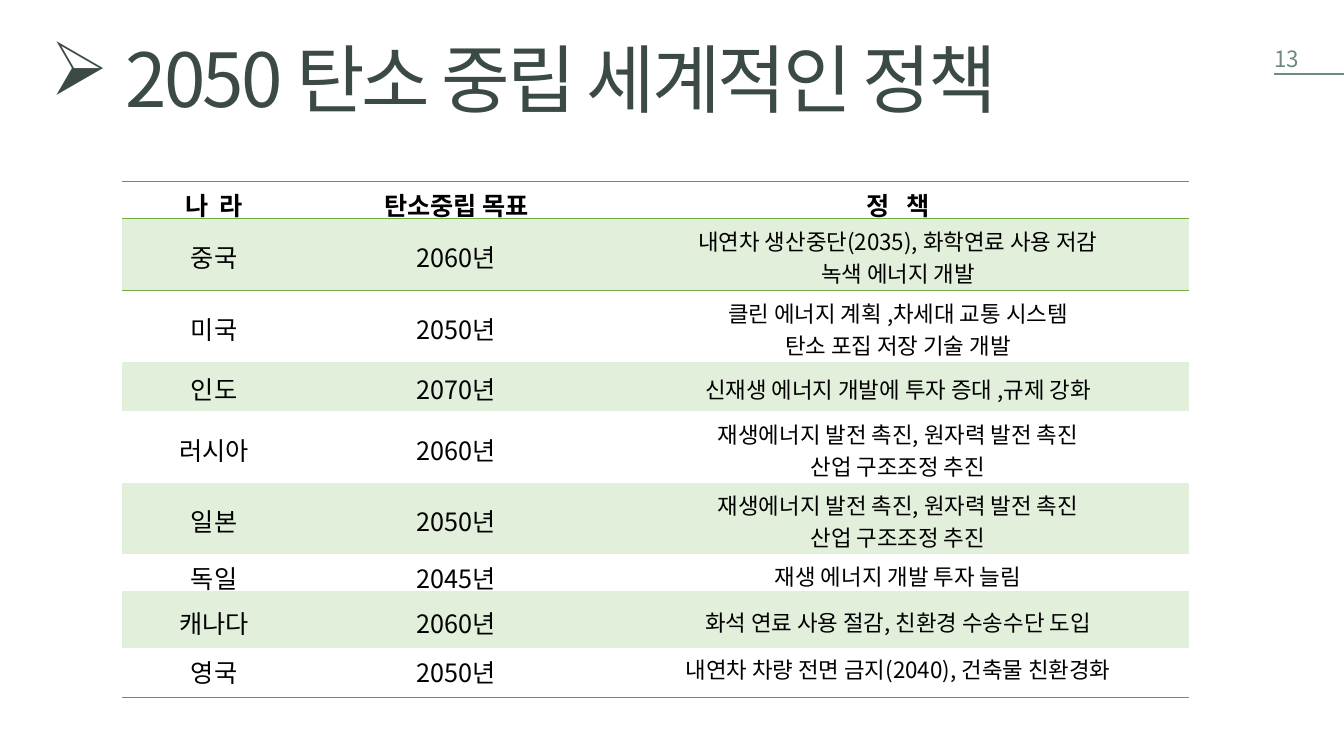
"""Build the slide on 2050 carbon neutrality policies around the world."""
from lxml import etree
from pptx import Presentation
from pptx.dml.color import RGBColor as RGB
from pptx.enum.shapes import MSO_CONNECTOR as CONN
from pptx.enum.text import MSO_ANCHOR as ANCHOR, PP_ALIGN as ALIGN
from pptx.oxml.ns import qn
from pptx.util import Cm, Pt

COLORS = {"title": "3B4B44", "accent": "6C8C7D", "text": "000000",
          "band": "E2EFDA", "rule": "70AD47", "edge": "808080"}
NO_STYLE = "{2D5ABB26-0587-4C30-8999-92F81FD0307C}"
HEADER = ("나  라", "탄소중립 목표", "정   책")
POLICIES = [
    ("중국", "2060년", "내연차 생산중단(2035), 화학연료 사용 저감\n녹색 에너지 개발"),
    ("미국", "2050년", "클린 에너지 계획 ,차세대 교통 시스템\n탄소 포집 저장 기술 개발"),
    ("인도", "2070년", "신재생 에너지 개발에 투자 증대 ,규제 강화"),
    ("러시아", "2060년", "재생에너지 발전 촉진, 원자력 발전 촉진\n산업 구조조정 추진"),
    ("일본", "2050년", "재생에너지 발전 촉진, 원자력 발전 촉진\n산업 구조조정 추진"),
    ("독일", "2045년", "재생 에너지 개발 투자 늘림"),
    ("캐나다", "2060년", "화석 연료 사용 절감, 친환경 수송수단 도입"),
    ("영국", "2050년", "내연차 차량 전면 금지(2040), 건축물 친환경화"),
]
COL_WIDTHS = (4.65, 7.57, 14.68)
ROW_HEIGHTS = (0.94, 1.8, 1.8, 1.25, 1.8, 1.8, 0.94, 1.42, 1.25)


class Deck:
    font = "Noto Sans CJK KR"

    def __init__(self, prs):
        self.s = prs.slides.add_slide(prs.slide_layouts[6])

    def run(self, p, text, color, **fmt):
        r = p.add_run()
        r.text = text
        for name, value in {"name": self.font, **fmt}.items():
            setattr(r.font, name, value)
        r.font.color.rgb = RGB.from_string(COLORS[color])
        rPr = r._r.get_or_add_rPr()
        etree.SubElement(rPr, qn("a:ea"), typeface=self.font)
        return rPr

    def text(self, box, text, color, size, leading, bullet=None, spacing=0):
        tf = self.s.shapes.add_textbox(*map(Cm, box)).text_frame
        for name, value in {"margin_left": 0, "margin_right": 0, "margin_top": 0,
                            "margin_bottom": 0, "word_wrap": True}.items():
            setattr(tf, name, value)
        p = tf.paragraphs[0]
        if bullet:
            pPr = p._p.get_or_add_pPr()
            pPr.set("marL", str(Cm(1.9)))
            pPr.set("indent", str(-Cm(1.9)))
            etree.SubElement(pPr, qn("a:buChar"), char=bullet)
        p.line_spacing = Pt(leading)
        rPr = self.run(p, text, color, size=Pt(size))
        rPr.set("spc", str(spacing))

    def line(self, x1, y1, x2, y2, color, width):
        sp = self.s.shapes.add_connector(CONN.STRAIGHT, *map(Cm, (x1, y1, x2, y2)))
        sp.line.color.rgb = RGB.from_string(COLORS[color])
        sp.line.width = Pt(width)
        etree.SubElement(sp._element.spPr, qn("a:effectLst"))

    def border(self, cell, side, color, width):
        tcPr = cell._tc.get_or_add_tcPr()
        ln = etree.SubElement(tcPr, qn(f"a:{side}"), w=str(Pt(width)))
        fill = etree.SubElement(ln, qn("a:solidFill"))
        etree.SubElement(fill, qn("a:srgbClr"), val=COLORS[color])

    def cell(self, cell, text, size, bold, anchor, borders, banded):
        for name, value in {"margin_top": Cm(0.13), "margin_bottom": 0,
                            "vertical_anchor": anchor}.items():
            setattr(cell, name, value)
        tf = cell.text_frame
        for i, part in enumerate(text.split("\n")):
            p = tf.add_paragraph() if i else tf.paragraphs[0]
            p.alignment = ALIGN.CENTER
            self.run(p, part, "text", size=Pt(size), bold=bold)
        for border in borders:
            self.border(cell, *border)
        if banded:
            cell.fill.solid()
            cell.fill.fore_color.rgb = RGB.from_string(COLORS["band"])
        else:
            cell.fill.background()

    def table(self, left, top, rows):
        size = map(Cm, (left, top, sum(COL_WIDTHS), sum(ROW_HEIGHTS)))
        table = self.s.shapes.add_table(len(rows), len(COL_WIDTHS), *size).table
        table._tbl.tblPr.find(qn("a:tableStyleId")).text = NO_STYLE
        table.horz_banding = False
        for col, width in zip(table.columns, COL_WIDTHS):
            col.width = Cm(width)
        last = len(rows) - 1
        borders = {0: [("lnT", "edge", 0.75), ("lnB", "rule", 1)],
                   1: [("lnT", "rule", 1)], last: [("lnB", "edge", 0.75)]}
        for i, values in enumerate(rows):
            table.rows[i].height = Cm(ROW_HEIGHTS[i])
            anchor = ANCHOR.TOP if i in (0, last) else ANCHOR.MIDDLE
            for j, text in enumerate(values):
                size = 16 if i and j == 2 else 18
                self.cell(table.cell(i, j), text, size, i == 0, anchor,
                          borders.get(i, []), i % 2 == 1)


def main():
    prs = Presentation()
    prs.slide_width, prs.slide_height = Cm(33.87), Cm(19.05)
    deck = Deck(prs)
    deck.line(32.11, 1.87, 33.87, 1.87, "accent", 1.5)
    deck.text((1.27, 1.02, 27.38, 2.11), "2050 탄소 중립 세계적인 정책", "title",
              53.3, 58.7, bullet="➢", spacing=-210)
    deck.text((32.11, 1.02, 1.75, 0.69), "13", "accent", 16, 22.4)
    deck.table(3.07, 4.57, [HEADER, *POLICIES])
    prs.save("out.pptx")


if __name__ == "__main__":
    main()
